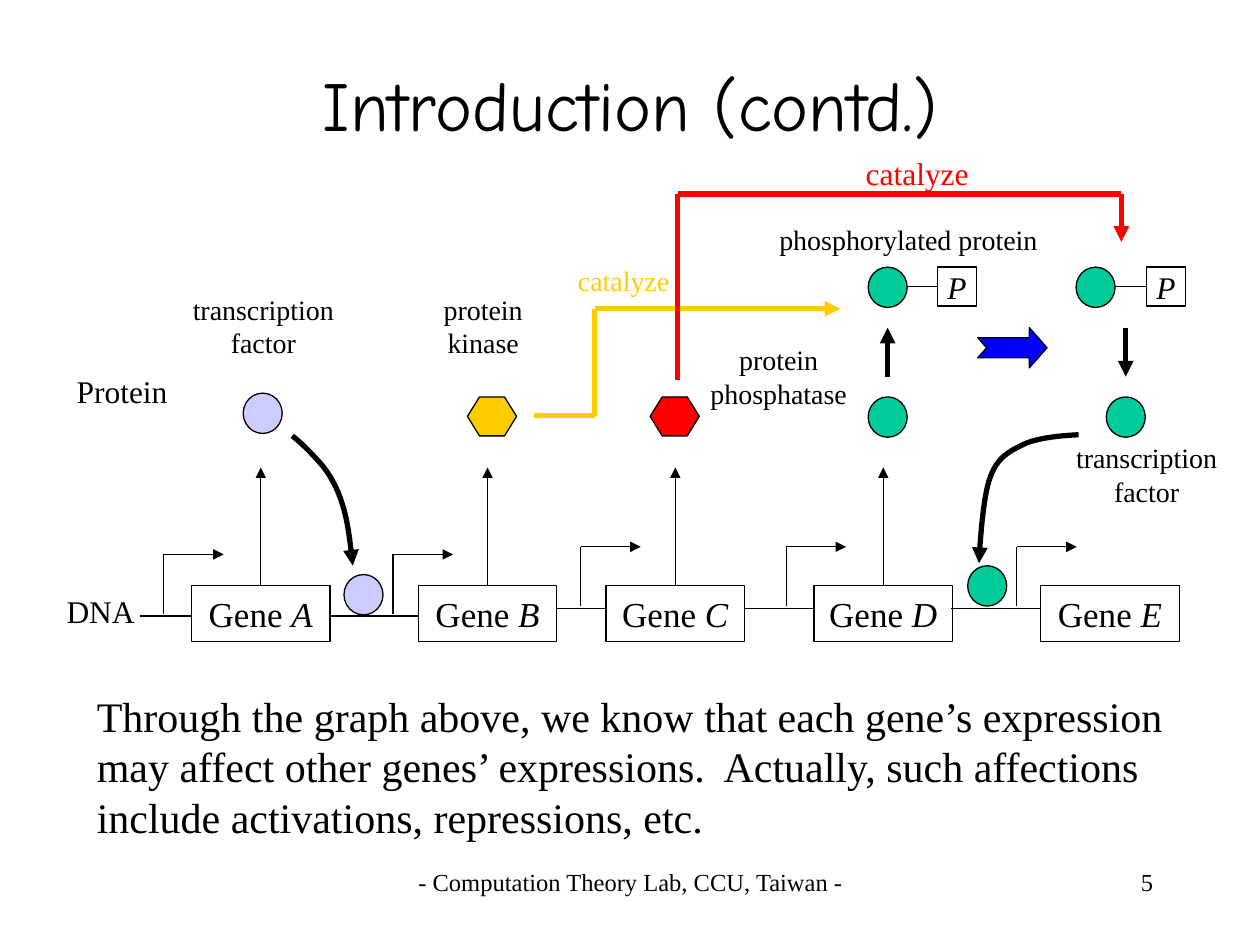
from lxml import etree
from pptx import Presentation
from pptx.dml.color import RGBColor
from pptx.enum.shapes import MSO_CONNECTOR, MSO_SHAPE
from pptx.enum.text import MSO_ANCHOR, PP_ALIGN
from pptx.oxml.ns import qn
from pptx.util import Inches, Pt

RECT, OVAL, HEX = MSO_SHAPE.RECTANGLE, MSO_SHAPE.OVAL, MSO_SHAPE.HEXAGON
NOTCH = MSO_SHAPE.NOTCHED_RIGHT_ARROW
STRAIGHT = MSO_CONNECTOR.STRAIGHT
LEFT, MID, RIGHT = PP_ALIGN.LEFT, PP_ALIGN.CENTER, PP_ALIGN.RIGHT
TOP, CENTRE = MSO_ANCHOR.TOP, MSO_ANCHOR.MIDDLE

BLACK = RGBColor(0x00, 0x00, 0x00)
LILAC = RGBColor(0xCC, 0xCC, 0xFF)
GOLD = RGBColor(0xFF, 0xCC, 0x00)
RED = RGBColor(0xFF, 0x00, 0x00)
GREEN = RGBColor(0x00, 0xCC, 0x99)
BLUE = RGBColor(0x00, 0x00, 0xFF)

BODY, HEAD = "Times New Roman", "Comic Neue"
COLS, ROWS = 100, 75          # the slide as a grid of square cells
THIN, BOLD = 0.75, 3
BALL = (3.1, 3.2)             # size of a round protein

prs = Presentation()
prs.slide_width, prs.slide_height = Inches(10), Inches(7.5)
CELL = prs.slide_width / COLS
slide = prs.slides.add_slide(prs.slide_layouts[5])
shapes = slide.shapes


def emu(*cells):
    return [round(c * CELL) for c in cells]


def write(frame, runs, size, align=MID, color=BLACK, font=BODY, anchor=TOP, wrap=True):
    """Fill a text frame with (text, italic) runs."""
    frame.word_wrap = wrap
    frame.vertical_anchor = anchor
    para = frame.paragraphs[0]
    para.alignment = align
    for text, italic in runs:
        run = para.add_run()
        run.text = text
        run.font.name, run.font.size = font, Pt(size)
        run.font.italic = italic
        run.font.color.rgb = color


def text(box, words, size, align=MID, color=BLACK, inset=(0.7, 0.4)):
    frame = shapes.add_textbox(*emu(*box)).text_frame
    frame.margin_left = frame.margin_right = emu(inset[0])[0]
    frame.margin_top = frame.margin_bottom = emu(inset[1])[0]
    write(frame, [(words, False)], size, align, color)


def plain(box, words, size, align=LEFT):
    text(box, words, size, align, inset=(1, 0.5))


def shape(kind, box, fill=None, adjust=()):
    item = shapes.add_shape(kind, *emu(*box))
    item.shadow.inherit = False
    for i, value in enumerate(adjust):
        item.adjustments[i] = value
    if fill is None:
        item.fill.background()
    else:
        item.fill.solid()
        item.fill.fore_color.rgb = fill
    item.line.color.rgb, item.line.width = BLACK, Pt(THIN)
    return item


def ball(x, y, fill):
    return shape(OVAL, (x, y, *BALL), fill)


def stroke(item, color, width, arrow):
    item.line.color.rgb, item.line.width = color, Pt(width)
    if arrow:
        ln = item.line._get_or_add_ln()
        etree.SubElement(ln, qn("a:tailEnd"), type="triangle")


def line(start, end, color=BLACK, width=THIN, arrow=False):
    item = shapes.add_connector(STRAIGHT, *emu(*start, *end))
    stroke(item, color, width, arrow)
    etree.SubElement(item._element.spPr, qn("a:effectLst"))
    return item


def route(points, color=BLACK, width=THIN):
    """Straight legs through the points, with an arrowhead on the last."""
    last = len(points) - 2
    for i, (start, end) in enumerate(zip(points, points[1:])):
        line(start, end, color, width, i == last)


def gene(box, name, drop, strand, stem, express):
    """Gene box with its strand, promoter arrow and expression arrow."""
    x, y, w, h = box
    item = shape(RECT, box)
    write(item.text_frame, [("Gene ", False), (name, True)], 20)
    line((strand, y + drop), (x, y + drop))
    foot, top = y + drop - 0.2, y + drop - 4.9
    route([(stem, foot), (stem, top), (stem + 4.75, top)])
    if express:
        mid = x + w / 2
        line((mid, y), (mid, y - 9.4), arrow=True).begin_connect(item, 0)


def state(box, shift, up):
    """Phosphorylated protein above the bare one, and the arrow between."""
    x, y, w, h = box
    tag = shape(RECT, (x + w - 3.1, y, 3.1, 3.1))
    write(tag.text_frame, [("P", True)], 18, anchor=CENTRE, wrap=False)
    ball(x, y, GREEN)
    line((x + BALL[0], y + 1.55), (x + w - 3.1, y + 1.55)).end_connect(tag, 1)
    ball(x + shift, y + h - BALL[1], GREEN)
    mid = x + shift + BALL[0] / 2
    ends = [(mid, y + 4.8), (mid, y + 8.7)]
    route(ends[::-1] if up else ends, BLACK, BOLD)


def bind(box, curves, fill, spot):
    """Curved arrow, in shares of the box, to a protein bound at spot."""
    x, y, w, h = box
    start, *rest = curves
    points, last = [], start
    for a, b, end in rest:
        for k in range(1, 13):
            t = k / 12
            s = 1 - t
            points.append([s**3 * p + 3 * s * s * t * q + 3 * s * t * t * r + t**3 * e
                           for p, q, r, e in zip(last, a, b, end)])
        last = end
    path = [emu(x + w * u, y + h * v) for u, v in [start, *points]]
    pen = shapes.build_freeform(*path[0])
    pen.add_line_segments(path[1:], close=False)
    item = pen.convert_to_shape()
    item.shadow.inherit = False
    item.fill.background()
    stroke(item, BLACK, BOLD, True)
    ball(*spot, fill)


def title(box, words):
    item = shapes.title
    item.left, item.top, item.width, item.height = emu(*box)
    write(item.text_frame, [(words, False)], 40, font=HEAD, anchor=CENTRE)


def footer(box):
    x, y, w, h = box
    plain((x, y, 58.3, h), "- Computation Theory Lab, CCU, Taiwan -", 14, MID)
    plain((x + w - 20.8, y, 20.8, h), "5", 14, RIGHT)


title((7.5, 3.5, 85, 9.4), "Introduction (contd.)")

# DNA row: name, left, strand drop, strand start, promoter, expressed
GENES = [
    ("A", 15.2, 2.4, 11.1, 13, True),
    ("B", 33.2, 2.4, 26.1, 31.2, True),
    ("C", 48.1, 1.8, 44.2, 46.1, True),
    ("D", 64.6, 1.8, 59.1, 62.4, True),
    ("E", 82.6, 1.8, 75.5, 80.7, False),
]
for name, left, *rest in GENES:
    gene((left, 46.5, 11, 4.4), name, *rest)
plain((4.3, 46.5, 11, 4), "DNA", 18)
plain((5.1, 29, 11, 4), "Protein", 18)

# Proteins
ball(19.3, 31.2, LILAC)
for left, fill in ((37.1, GOLD), (51.6, RED)):
    shape(HEX, (left, 31.5, 3.9, 3.1), fill, (0.31,))
state((68.9, 21.2, 8.6, 13.5), 0, True)
state((85.4, 21.2, 8.7, 13.5), 2.4, False)
shape(NOTCH, (77.6, 26, 5.5, 3.2), BLUE, (0.5, 0.44))

# Transcription factors binding to DNA
bind((23.2, 34.6, 4.8, 10.3),
     [(0, 0), ((0.19, 0.07), (0.35, 0.15), (0.5, 0.23)),
      ((0.65, 0.32), (0.75, 0.41), (0.83, 0.53)),
      ((0.92, 0.66), (0.96, 0.83), (1, 1))], LILAC, (27.3, 45.6))
bind((77.7, 34.5, 7.9, 10.2),
     [(1, 0), ((0.77, 0.01), (0.54, 0.03), (0.41, 0.09)),
      ((0.25, 0.15), (0.16, 0.21), (0.1, 0.36)),
      ((0.04, 0.51), (0.01, 0.83), (0, 1))], GREEN, (76.8, 44.9))

# Catalysis
route([(42.4, 33), (47.2, 33), (47.2, 24.5), (66.7, 24.5)], GOLD, BOLD)
route([(53.8, 30.2), (53.8, 15.4), (89, 15.4), (89, 19.2)], RED, BOLD)
text((43.2, 20.5, 12.6, 3.4), "catalyze", 16, color=GOLD)
text((66.5, 11.8, 12.6, 3.4), "catalyze", 18, color=RED)

# Labels
LABELS = [
    ((13.8, 22.8, 14.2, 5.6), "transcription factor"),
    ((33.3, 22.8, 10.1, 5.9), "protein kinase"),
    ((54.7, 26.8, 14.2, 7.2), "protein phosphatase"),
    ((58.7, 17.3, 26.8, 5.6), "phosphorylated protein"),
    ((83.9, 34.6, 14.2, 5.6), "transcription factor"),
]
for box, words in LABELS:
    text(box, words, 16)

# Summary and footer
plain((6.7, 54.3, 87.1, 13),
      "Through the graph above, we know that each gene’s expression may affect "
      "other genes’ expressions.  Actually, such affections include activations, "
      "repressions, etc.", 24)
footer((20.9, ROWS - 6.7, 71.6, 5))

prs.save("out.pptx")
